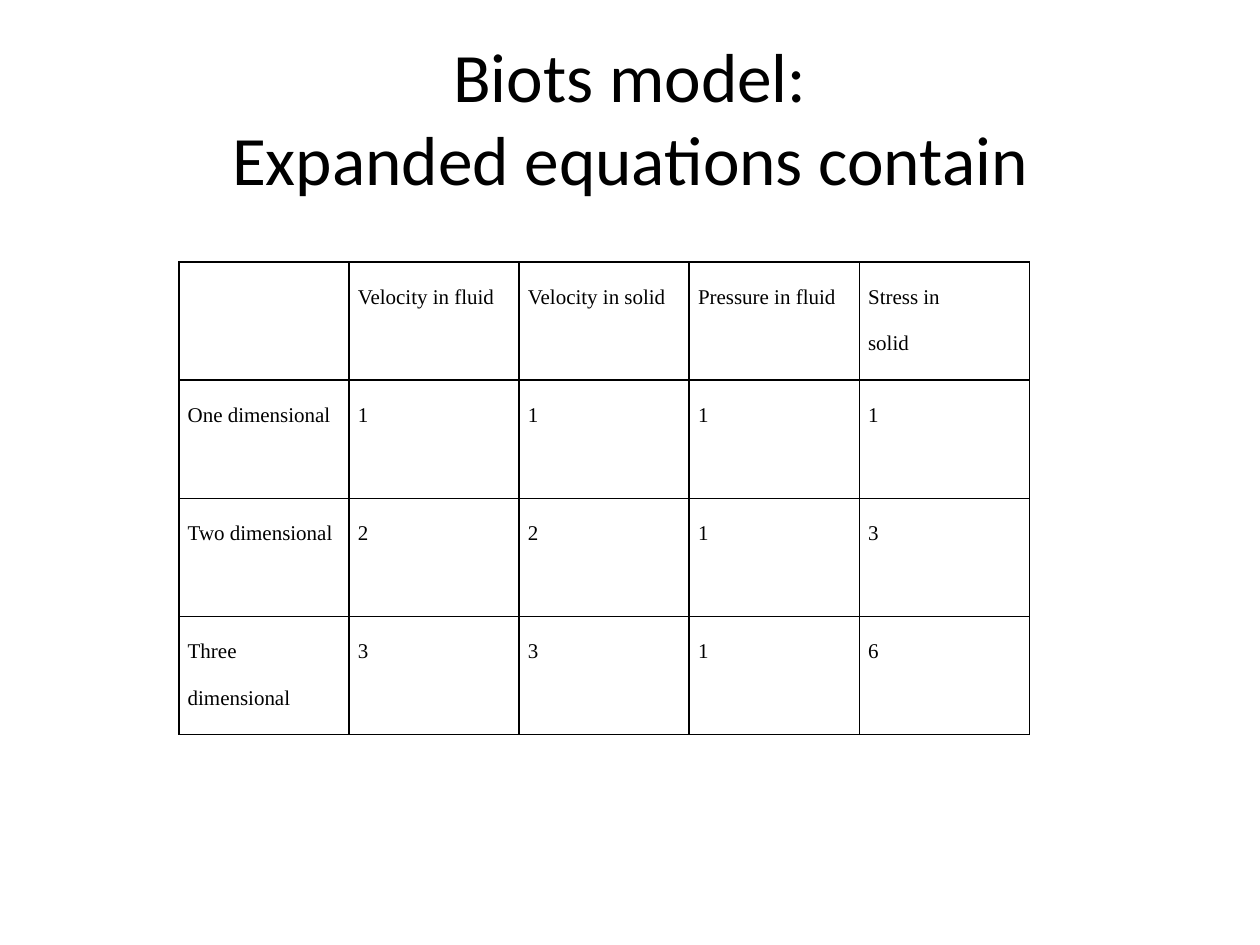
from lxml import etree
from pptx import Presentation
from pptx.dml.color import RGBColor
from pptx.enum.text import MSO_ANCHOR, MSO_AUTO_SIZE, PP_ALIGN
from pptx.oxml.ns import qn
from pptx.util import Inches, Pt

CENTER = PP_ALIGN.CENTER
MIDDLE = MSO_ANCHOR.MIDDLE
TOP = MSO_ANCHOR.TOP
NO_AUTOFIT = MSO_AUTO_SIZE.NONE
COLORS = {"text": "000000", "border": "000000"}
TITLE_LINES = ["Biots model:", "Expanded equations contain"]
ROWS = [
    ["", "Velocity in fluid", "Velocity in solid", "Pressure in fluid", "Stress in\nsolid"],
    ["One dimensional", "1", "1", "1", "1"],
    ["Two dimensional", "2", "2", "1", "3"],
    ["Three dimensional", "3", "3", "1", "6"],
]


def add_run(paragraph, text, font_name, size):
    run = paragraph.add_run()
    run.text = text
    run.font.name = font_name
    run.font.size = Pt(size)
    run.font.color.rgb = RGBColor.from_string(COLORS["text"])


def add_borders(cell):
    properties = cell._tc.get_or_add_tcPr()
    for position, side in enumerate(("lnL", "lnR", "lnT", "lnB")):
        line = etree.Element(qn(f"a:{side}"), w=str(Pt(1)))
        fill = etree.SubElement(line, qn("a:solidFill"))
        etree.SubElement(fill, qn("a:srgbClr"), val=COLORS["border"])
        properties.insert(position, line)


presentation = Presentation()
presentation.slide_width = Inches(10)
presentation.slide_height = Inches(7.5)
slide = presentation.slides.add_slide(presentation.slide_layouts[5])

# Title
title = slide.shapes.title
title.left, title.top = Inches(0.5), Inches(0.3)
title.width, title.height = Inches(9), Inches(1.25)
title.text_frame.auto_size = NO_AUTOFIT
title.text_frame.vertical_anchor = MIDDLE
paragraph = title.text_frame.paragraphs[0]
paragraph.alignment = CENTER
for index, line_text in enumerate(TITLE_LINES):
    if index:
        paragraph.add_line_break()
    add_run(paragraph, line_text, "Calibri", 39.6)

# Table of variables per dimension
table = slide.shapes.add_table(
    len(ROWS), len(ROWS[0]), Inches(1.42), Inches(2.08), Inches(6.75), Inches(3.75)
).table
table.first_row = False
table.horz_banding = False

for row_index, row in enumerate(ROWS):
    for column_index, cell_text in enumerate(row):
        cell = table.cell(row_index, column_index)
        cell.fill.background()
        cell.vertical_anchor = TOP
        cell.margin_left = cell.margin_right = Inches(0.07)
        cell.margin_top = cell.margin_bottom = 0
        add_borders(cell)
        if not cell_text:
            continue
        for index, line_text in enumerate(cell_text.split("\n")):
            frame = cell.text_frame
            paragraph = frame.add_paragraph() if index else frame.paragraphs[0]
            paragraph.line_spacing = 2.0
            add_run(paragraph, line_text, "Times New Roman", 12)

presentation.save("out.pptx")
